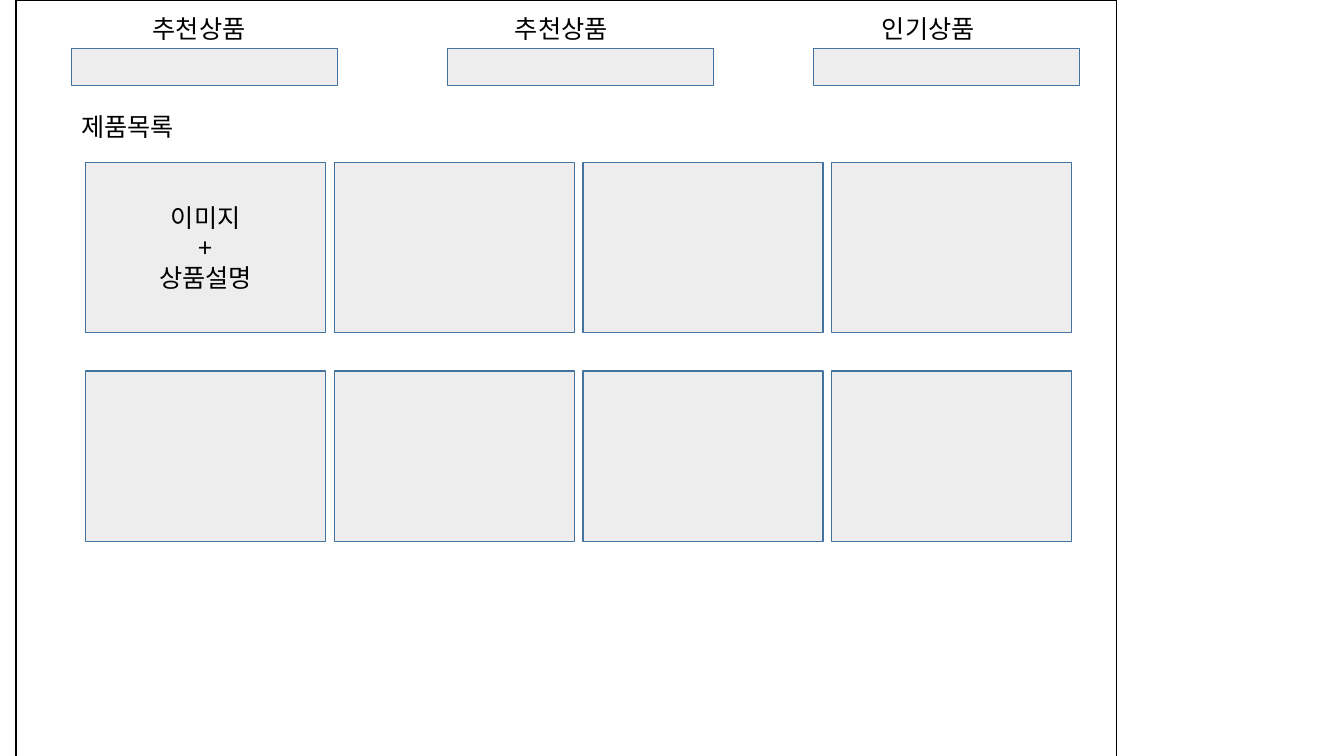
from lxml.etree import SubElement
from pptx import Presentation
from pptx.dml.color import RGBColor
from pptx.enum.shapes import MSO_SHAPE
from pptx.enum.text import MSO_ANCHOR, MSO_AUTO_SIZE, PP_ALIGN
from pptx.oxml.ns import qn
from pptx.util import Pt

FONT = "Noto Sans CJK KR"
BLACK, GRAY, BLUE = "000000", "EDEDED", "43739E"


def paint(color_format, color):
    color_format.rgb = RGBColor.from_string(color)


def write(tf, lines, align):
    for i, line in enumerate(lines):
        p = tf.paragraphs[0] if i == 0 else tf.add_paragraph()
        p.text = line
        p.alignment = align
        p.font.size = Pt(18)
        p.font.name = FONT
        paint(p.font.color, BLACK)
        SubElement(p._p.pPr.find(qn("a:defRPr")), qn("a:ea"), typeface=FONT)


def add_box(s, x, y, w, h, fill=GRAY, line=BLUE):
    sp = s.shapes.add_shape(MSO_SHAPE.RECTANGLE, Pt(x), Pt(y), Pt(w), Pt(h))
    sp.shadow.inherit = False
    if fill:
        sp.fill.solid()
        paint(sp.fill.fore_color, fill)
    else:
        sp.fill.background()
    paint(sp.line.color, line)
    sp.line.width = Pt(1)
    return sp


def add_label(s, text, x, y):
    tf = s.shapes.add_textbox(Pt(x), Pt(y), Pt(87), Pt(29)).text_frame
    tf.word_wrap = False
    tf.auto_size = MSO_AUTO_SIZE.SHAPE_TO_FIT_TEXT
    write(tf, [text], PP_ALIGN.LEFT)


def add_heading_bar(s, text, x, y, w, h, indent):
    add_label(s, text, x + indent, y)
    add_box(s, x, y + 28.8, w, h - 28.8)


def add_product_grid(s, x, y, w, h, caption, cols=4, rows=2):
    card_w, card_h = 171.4, 121.7
    step_x = (w - card_w) / (cols - 1)
    step_y = (h - card_h) / (rows - 1)
    cards = [add_box(s, x + col * step_x, y + row * step_y, card_w, card_h)
             for row in range(rows) for col in range(cols)]
    tf = cards[0].text_frame
    tf.vertical_anchor = MSO_ANCHOR.MIDDLE
    write(tf, caption, PP_ALIGN.CENTER)


prs = Presentation()
prs.slide_width, prs.slide_height = Pt(960), Pt(540)
s = prs.slides.add_slide(prs.slide_layouts[6])

add_box(s, 11.5, 0, 786.2, 543.6, fill=None, line=BLACK)
for text, x, indent in [("추천상품", 51, 51), ("추천상품", 319.7, 41),
                        ("인기상품", 581, 41.8)]:
    add_heading_bar(s, text, x, 5.8, 190, 55.5, indent)
add_label(s, "제품목록", 51, 76.3)
add_product_grid(s, 61.2, 116, 704.2, 270.7, ["이미지", "+", "상품설명"])

prs.save("out.pptx")
